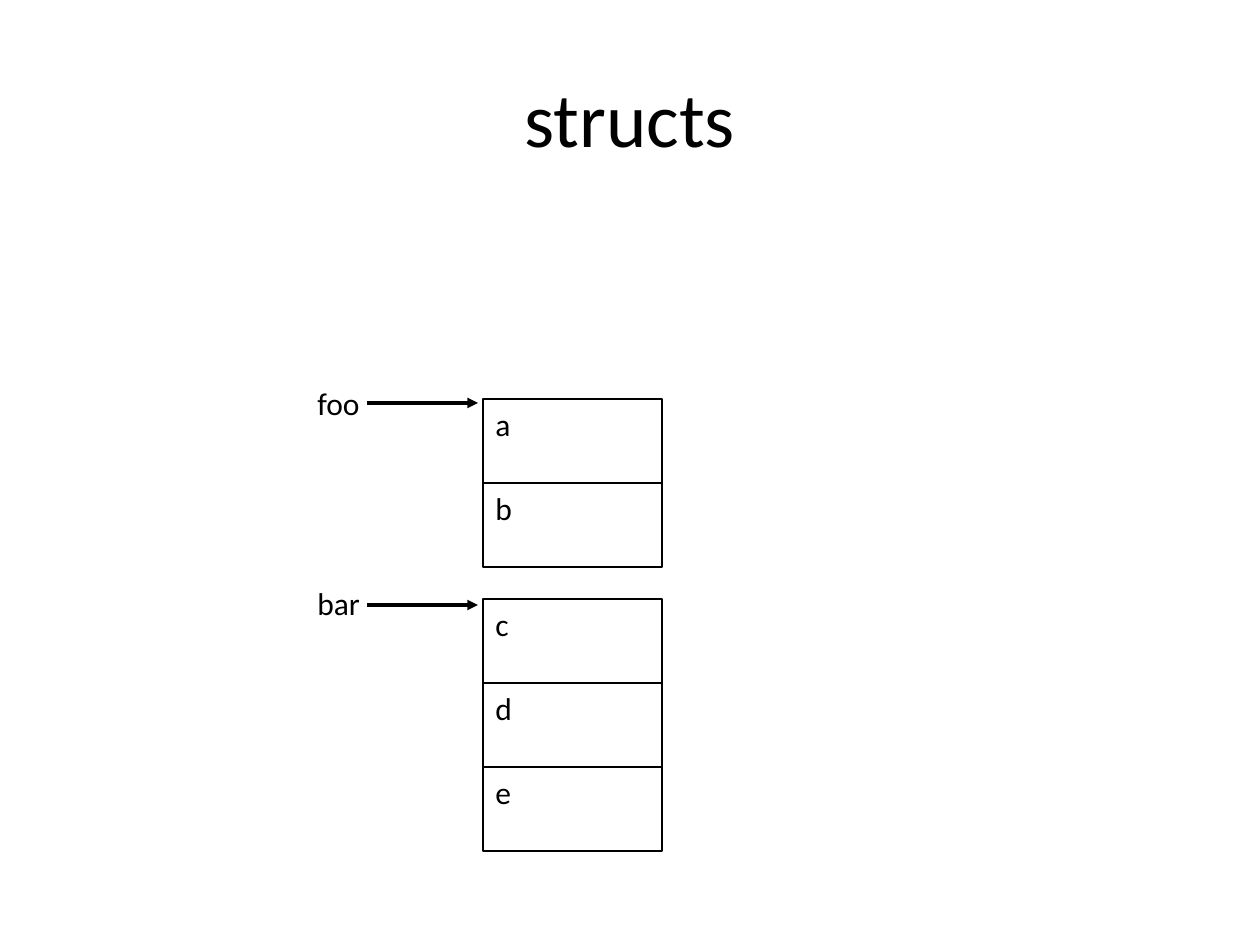
from dataclasses import dataclass

from lxml.etree import SubElement
from pptx import Presentation
from pptx.dml.color import RGBColor
from pptx.enum.shapes import MSO_CONNECTOR as Link, MSO_SHAPE as Shape
from pptx.enum.text import MSO_ANCHOR as Anchor, MSO_AUTO_SIZE as Fit, PP_ALIGN as Align
from pptx.oxml.ns import qn
from pptx.util import Pt


@dataclass(frozen=True)
class Theme:
    font: str = "Calibri"
    ink: RGBColor = RGBColor(0, 0, 0)
    title: int = 44
    body: int = 18
    edge: float = 0.75
    arrow: float = 2


THEME = Theme()
SCALE = 914400 / 126
LEFT, WIDE, HIGH = 483, 179, 84
STRUCTS = [("foo", 399, 403, "ab"), ("bar", 599, 605, "cde")]


def px(*nums):
    return [round(n * SCALE) for n in nums]


def write(shape, text, size=THEME.body, align=Align.LEFT, anchor=Anchor.TOP, wrap=True):
    frame = shape.text_frame
    frame.word_wrap = wrap
    frame.vertical_anchor = anchor
    para = frame.paragraphs[0]
    para.alignment = align
    run = para.add_run()
    run.text = text
    run.font.name = THEME.font
    run.font.size = Pt(size)
    run.font.color.rgb = THEME.ink


def label(slide, box, text, **style):
    shape = slide.shapes.add_textbox(*px(*box))
    write(shape, text, **style)
    return shape


def field(slide, top, name):
    shape = slide.shapes.add_shape(Shape.RECTANGLE, *px(LEFT, top, WIDE, HIGH))
    shape.shadow.inherit = False
    shape.fill.background()
    shape.line.color.rgb = THEME.ink
    shape.line.width = Pt(THEME.edge)
    write(shape, name)


def arrow(slide, start, end, y):
    line = slide.shapes.add_connector(Link.STRAIGHT, *px(start, y, end, y))
    line.line.color.rgb = THEME.ink
    line.line.width = Pt(THEME.arrow)
    SubElement(line.line._get_or_add_ln(), qn("a:tailEnd"), type="triangle")
    SubElement(line._element.spPr, qn("a:effectLst"))


def struct(slide, name, top, tip, names):
    for row, text in enumerate(names):
        field(slide, top + row * HIGH, text)
    tag = label(slide, (305, top - 21, 68, 50), name, wrap=False)
    tag.text_frame.auto_size = Fit.SHAPE_TO_FIT_TEXT
    arrow(slide, 367, 478, tip)


def main():
    deck = Presentation()
    deck.slide_width, deck.slide_height = px(1260, 945)
    slide = deck.slides.add_slide(deck.slide_layouts[6])
    label(slide, (63, 38, 1134, 157), "structs", size=THEME.title,
          align=Align.CENTER, anchor=Anchor.MIDDLE)
    for item in STRUCTS:
        struct(slide, *item)
    deck.save("out.pptx")


if __name__ == "__main__":
    main()
